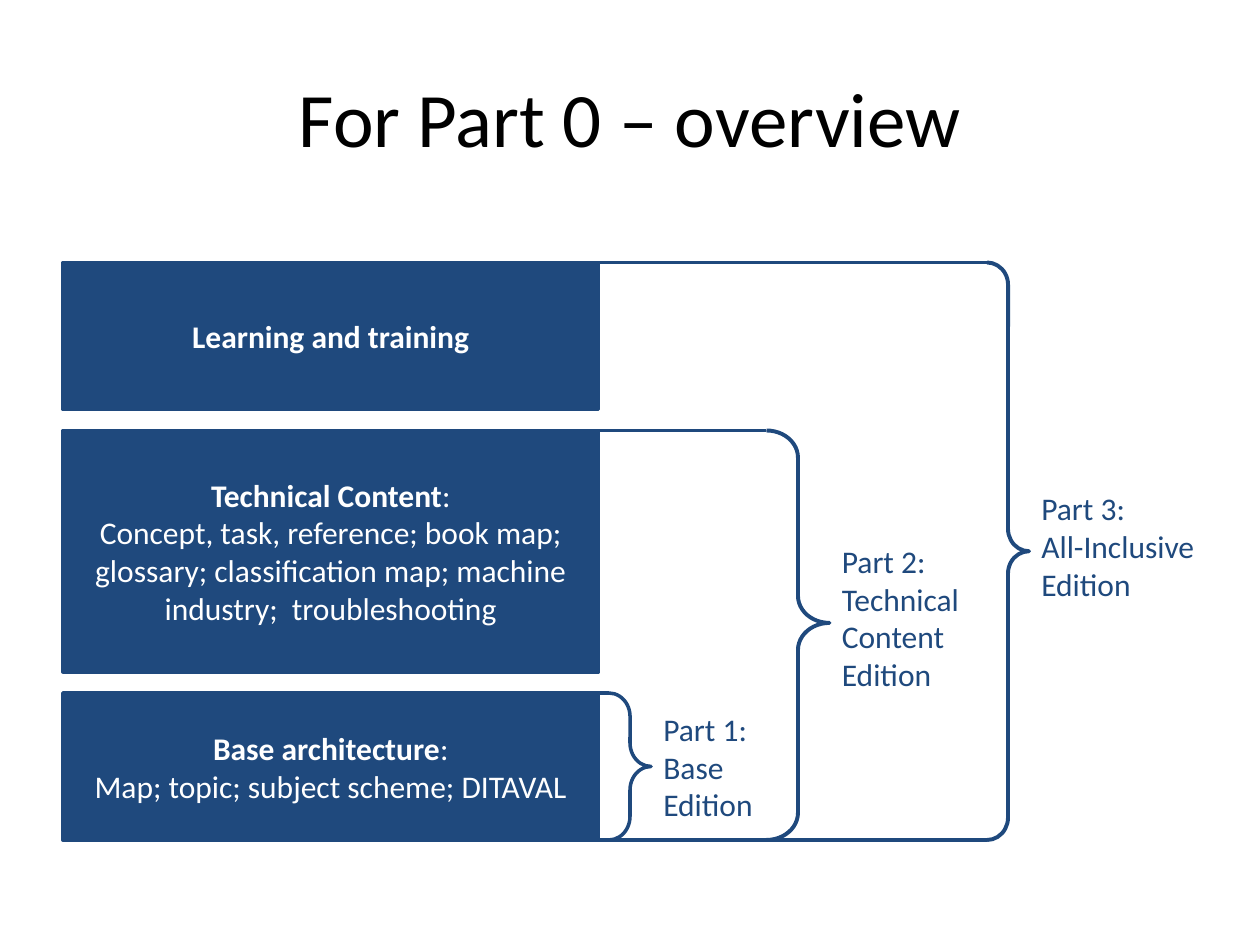
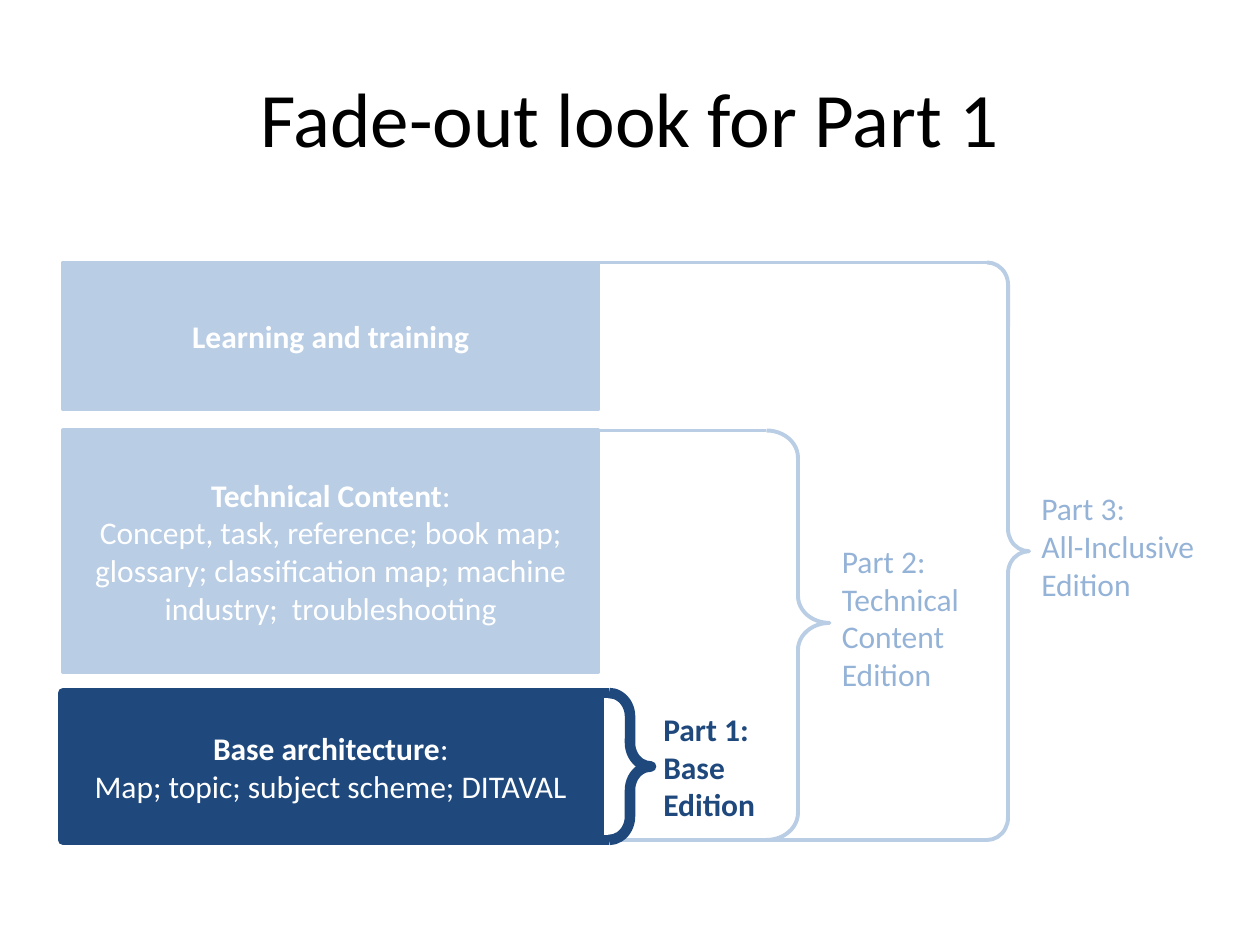
from dataclasses import dataclass
from typing import NamedTuple

from lxml import etree
from pptx import Presentation
from pptx.dml.color import RGBColor
from pptx.enum import shapes, text
from pptx.oxml import ns
from pptx.util import Inches, Pt

COLS, ROWS = 120, 90  # grid over the whole slide


@dataclass(frozen=True)
class Theme:
    font: str = "Calibri"
    title_size: int = 44
    body_size: int = 18
    navy: RGBColor = RGBColor(0x1F, 0x49, 0x7D)
    pale: RGBColor = RGBColor(0xB9, 0xCD, 0xE5)
    mid: RGBColor = RGBColor(0x95, 0xB3, 0xD7)
    white: RGBColor = RGBColor(0xFF, 0xFF, 0xFF)
    black: RGBColor = RGBColor(0, 0, 0)


T = Theme()


class Area(NamedTuple):
    col: float
    row: float
    cols: float
    rows: float


class Look(NamedTuple):
    colour: RGBColor
    label_colour: RGBColor
    box_line: float
    brace_line: float
    bold_label: bool = False


class Layer(NamedTuple):
    """One content box, with the edition that starts at its top edge."""
    heading: str
    detail: str
    box: Area
    brace: Area
    curve: float
    point: float
    top_from: float
    bottom_from: float
    label: tuple[str, str]
    label_area: Area


LAYERS = [
    Layer("Learning and training", "",
          Area(6, 25, 51, 14), Area(94, 25, 4, 55), 0.53, 0.5, 47, 44,
          ("Part 3:", "All-Inclusive Edition"), Area(98, 46, 18, 12.1)),
    Layer("Technical Content",
          "Concept, task, reference; book map; glossary; classification map; "
          "machine industry;  troubleshooting",
          Area(6, 41, 51, 23), Area(73, 41, 6, 39), 0.43, 0.47, 55, 51,
          ("Part 2:", "Technical Content Edition"), Area(79, 51, 17, 15.7)),
    Layer("Base architecture", "Map; topic; subject scheme; DITAVAL",
          Area(6, 66, 51, 14), Area(58, 66, 4, 14), 0.56, 0.5, 52, 55,
          ("Part 1:", "Base Edition"), Area(62, 67, 13, 12.1)),
]

PLAIN = Look(T.navy, T.navy, 2, 2.25)
PLAIN_BASE = PLAIN._replace(brace_line=2)
FADED = Look(T.pale, T.mid, 2.25, 2.25)
STRONG = Look(T.navy, T.navy, 6, 6, True)

# Title, then the look of each layer from top to bottom
SLIDES = [
    ("For Part 0 – overview", [PLAIN, PLAIN, PLAIN_BASE]),
    ("Fade-out look for Part 1", [FADED, FADED, STRONG]),
]


class Diagram:
    def __init__(self, prs, title: str):
        self.unit_x = prs.slide_width / COLS
        self.unit_y = prs.slide_height / ROWS
        slide = prs.slides.add_slide(prs.slide_layouts[5])
        self.shapes = slide.shapes
        self.add_title(slide.shapes.title, title)

    def place(self, area: Area) -> list[int]:
        return [round(n * unit) for n, unit in
                zip(area, (self.unit_x, self.unit_y) * 2)]

    @staticmethod
    def style(r, size: int, colour: RGBColor, bold: bool = False) -> None:
        r.font.name, r.font.size, r.font.bold = T.font, Pt(size), bold
        r.font.color.rgb = colour

    @staticmethod
    def stroke(sp, colour: RGBColor, width: float) -> None:
        sp.line.color.rgb = colour
        sp.line.width = Pt(width)

    def add_title(self, sp, title: str) -> None:
        sp.left, sp.top, sp.width, sp.height = self.place(Area(6, 3.6, 108, 15))
        tf = sp.text_frame
        tf.text = title
        tf.vertical_anchor = text.MSO_ANCHOR.MIDDLE
        p = tf.paragraphs[0]
        p.alignment = text.PP_ALIGN.CENTER
        self.style(p.runs[0], T.title_size, T.black)

    def add_line(self, start: float, end: float, row: float, look: Look) -> None:
        x1, y, x2, _ = self.place(Area(start, row, end, row))
        line = self.shapes.add_connector(shapes.MSO_CONNECTOR.STRAIGHT, x1, y, x2, y)
        self.stroke(line, look.colour, look.brace_line)
        etree.SubElement(line._element.spPr, ns.qn("a:effectLst"))

    def add_brace(self, layer: Layer, look: Look) -> None:
        area = layer.brace
        sp = self.shapes.add_shape(shapes.MSO_SHAPE.RIGHT_BRACE, *self.place(area))
        sp.adjustments[0], sp.adjustments[1] = layer.curve, layer.point
        sp.shadow.inherit = False
        sp.fill.background()
        self.stroke(sp, look.colour, look.brace_line)
        self.add_line(layer.top_from, area.col, area.row, look)
        self.add_line(layer.bottom_from, area.col, area.row + area.rows, look)

    def add_box(self, layer: Layer, look: Look) -> None:
        sp = self.shapes.add_shape(shapes.MSO_SHAPE.RECTANGLE, *self.place(layer.box))
        sp.shadow.inherit = False
        sp.fill.solid()
        sp.fill.fore_color.rgb = look.colour
        self.stroke(sp, look.colour, look.box_line)
        tf = sp.text_frame
        tf.word_wrap = True
        tf.vertical_anchor = text.MSO_ANCHOR.MIDDLE
        tf.text = layer.heading
        heading = tf.paragraphs[0]
        if layer.detail:
            heading.add_run().text = ":"
            tf.add_paragraph().text = layer.detail
        for p in tf.paragraphs:
            p.alignment = text.PP_ALIGN.CENTER
            for r in p.runs:
                self.style(r, T.body_size, T.white, r.text == layer.heading)

    def add_label(self, layer: Layer, look: Look) -> None:
        tf = self.shapes.add_textbox(*self.place(layer.label_area)).text_frame
        tf.word_wrap = True
        tf.auto_size = text.MSO_AUTO_SIZE.SHAPE_TO_FIT_TEXT
        tf.text = "\n".join(layer.label)
        for p in tf.paragraphs:
            self.style(p.runs[0], T.body_size, look.label_colour, look.bold_label)


def main() -> None:
    prs = Presentation()
    prs.slide_width, prs.slide_height = Inches(10), Inches(7.5)
    for title, looks in SLIDES:
        diagram = Diagram(prs, title)
        # Braces lie behind the boxes, so their lines start under them
        for draw in (diagram.add_brace, diagram.add_box, diagram.add_label):
            for layer, look in zip(LAYERS, looks):
                draw(layer, look)
    prs.save("out.pptx")


if __name__ == "__main__":
    main()
